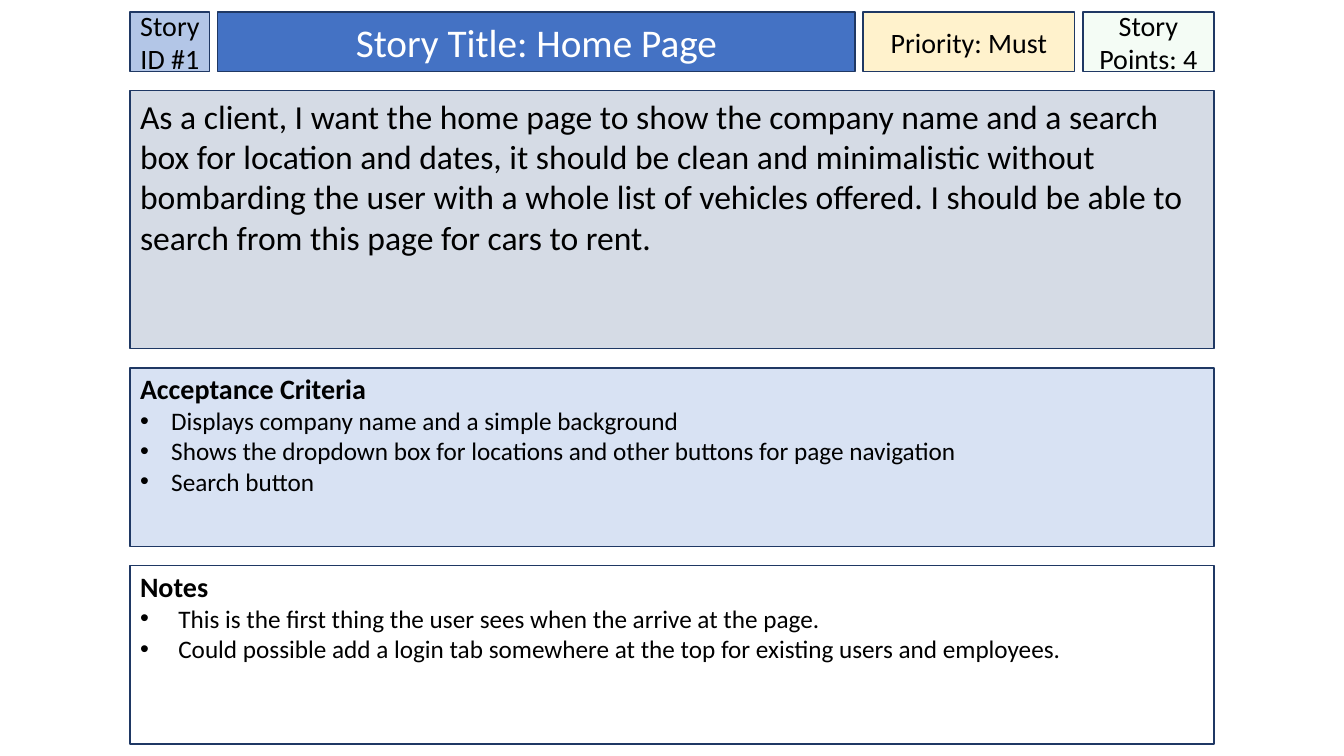
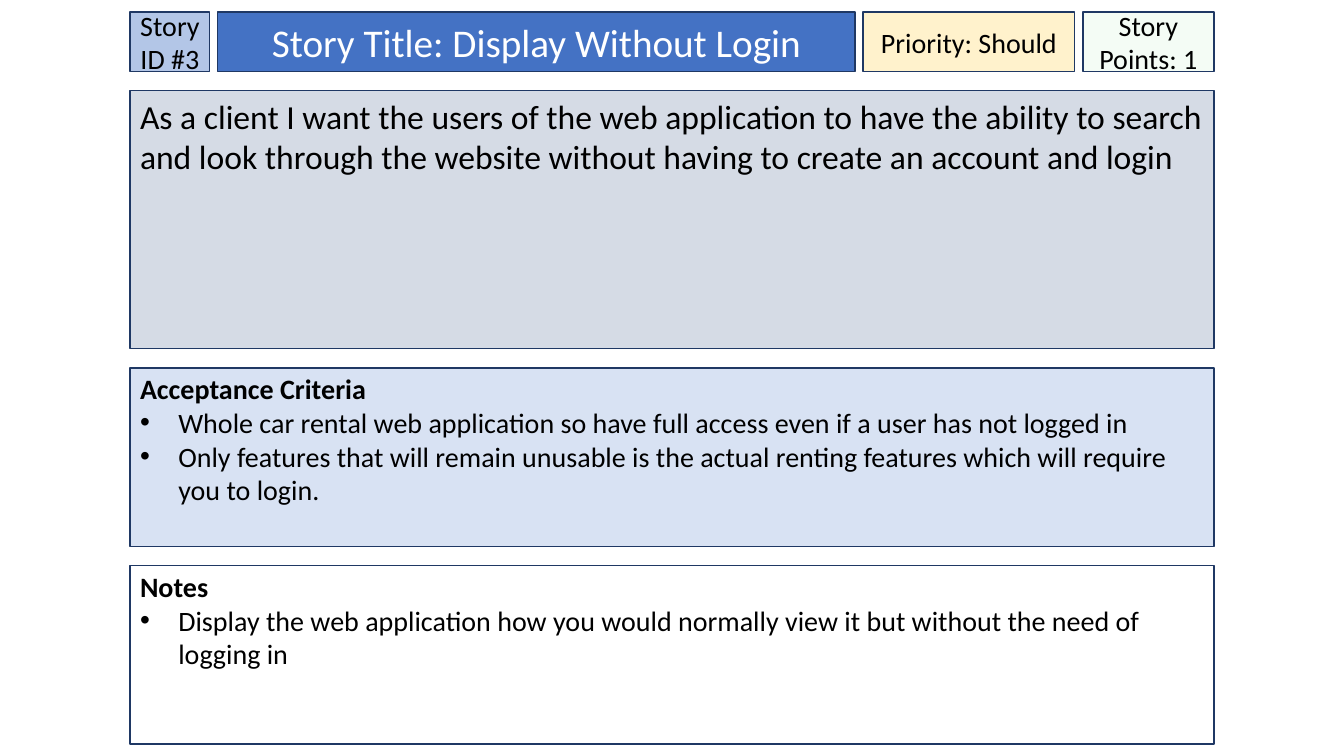
from dataclasses import dataclass
from itertools import accumulate
from typing import Any

from lxml import etree
from pptx import Presentation, util as u
from pptx.dml import color
from pptx.enum import shapes, text
from pptx.oxml import ns

HUES = {
    "edge": "1F3864", "ink": "000000", "white": "FFFFFF", "id": "B3C6E7",
    "title": "4472C4", "rank": "FFF2CC", "points": "CCF0CD",
    "story": "D5DBE5", "tests": "D8E2F3", "notes": "FFFFFF",
}
FACE = "Calibri"
WIDE, HIGH = 13.33, 7.5
LEFT, TOP = 1.29, 0.12
COLS, COL_GAP = (0.79, 6.32, 2.1, 1.3), 0.08
ROWS, ROW_GAP = (0.59, 2.56, 1.77, 1.77), 0.19


@dataclass(frozen=True)
class Box:
    hue: str
    row: int
    col: int = 0
    span: int = 1
    side: float = 0.1
    head: float = 0.05
    size: int = 20
    ink: str = "ink"
    mid: bool = False
    alpha: int = 100


@dataclass(frozen=True)
class Line:
    words: str
    size: int = 20
    bold: bool = False
    dent: float = 0


@dataclass(frozen=True)
class Card:
    id: int
    title: str
    rank: str
    points: int
    story: str
    tests: tuple[Line, ...]
    notes: tuple[Line, ...]


ID = Box("id", 0, 0, side=0, mid=True)
TITLE = Box("title", 0, 1, size=28, ink="white", mid=True)
RANK = Box("rank", 0, 2, side=0, mid=True)
POINTS = Box("points", 0, 3, side=0, mid=True, alpha=20)
STORY = Box("story", 1, span=4, size=24)
TESTS = Box("tests", 2, span=4, head=0.04)
NOTES = Box("notes", 3, span=4, head=0.04)


def points(items: tuple[str, ...], size: int = 20, dent: float = 0.38) -> tuple[Line, ...]:
    return tuple(Line(item, size, dent=dent) for item in items)


CARDS = (
    Card(
        1, "Home Page", "Must", 4,
        "As a client, I want the home page to show the company name and a search box for "
        "location and dates, it should be clean and minimalistic without bombarding the user "
        "with a whole list of vehicles offered. I should be able to search from this page for "
        "cars to rent.",
        points((
            "Displays company name and a simple background",
            "Shows the dropdown box for locations and other buttons for page navigation",
            "Search button",
        ), 18, 0.31),
        points((
            "This is the first thing the user sees when the arrive at the page.",
            "Could possible add a login tab somewhere at the top for existing users and employees.",
        ), 18),
    ),
    Card(
        3, "Display Without Login", "Should", 1,
        "As a client I want the users of the web application to have the ability to search and "
        "look through the website without having to create an account and login",
        points((
            "Whole car rental web application so have full access even if a user has not logged in",
            "Only features that will remain unusable is the actual renting features which will "
            "require you to login.",
        )),
        points((
            "Display the web application how you would normally view it but without the need of "
            "logging in",
        )),
    ),
)


def apply(item: Any, form: dict[str, Any]) -> None:
    for name, value in form.items():
        setattr(item, name, value)


def rgb(hue: str) -> color.RGBColor:
    return color.RGBColor.from_string(HUES[hue])


def starts(first: float, sizes: tuple[float, ...], gap: float) -> list[float]:
    return list(accumulate((size + gap for size in sizes), initial=first))


def place(box: Box) -> dict[str, int]:
    xs, ys = starts(LEFT, COLS, COL_GAP), starts(TOP, ROWS, ROW_GAP)
    wide = xs[box.col + box.span] - COL_GAP - xs[box.col]
    spots = {"left": xs[box.col], "top": ys[box.row], "width": wide, "height": ROWS[box.row]}
    return {name: u.Inches(round(value, 2)) for name, value in spots.items()}


def bullet(para: Any, dent: float) -> None:
    props = para._p.get_or_add_pPr()
    props.set("marL", str(u.Inches(dent)))
    props.set("indent", str(-u.Inches(dent)))
    etree.SubElement(props, ns.qn("a:buFont"), typeface="Arial")
    etree.SubElement(props, ns.qn("a:buChar"), char="\u2022")


def paint(shape: Any, box: Box) -> None:
    apply(shape, place(box))
    shape.fill.solid()
    shape.fill.fore_color.rgb = rgb(box.hue)
    if box.alpha < 100:
        tone = shape.element.spPr.find(ns.qn("a:solidFill"))[0]
        etree.SubElement(tone, ns.qn("a:alpha"), val=str(box.alpha * 1000))
    shape.line.color.rgb = rgb("edge")
    shape.line.width = u.Pt(1)


def write(shape: Any, box: Box, lines: tuple[Line, ...]) -> None:
    frame = shape.text_frame
    apply(frame, {
        "word_wrap": True, "auto_size": text.MSO_AUTO_SIZE.NONE,
        "vertical_anchor": text.MSO_ANCHOR.MIDDLE if box.mid else text.MSO_ANCHOR.TOP,
        "margin_left": u.Inches(box.side), "margin_right": u.Inches(box.side),
        "margin_top": u.Inches(box.head), "margin_bottom": u.Inches(0.05),
    })
    for num, line in enumerate(lines):
        para = frame.add_paragraph() if num else frame.paragraphs[0]
        para.alignment = text.PP_ALIGN.CENTER if box.mid else text.PP_ALIGN.LEFT
        if line.dent:
            bullet(para, line.dent)
        run = para.add_run()
        run.text = line.words
        apply(run.font, {"name": FACE, "size": u.Pt(line.size), "bold": line.bold})
        run.font.color.rgb = rgb(box.ink)


def fill(slide: Any, box: Box, *lines: Line) -> None:
    if box is TITLE:
        shape = slide.shapes.title
    else:
        shape = slide.shapes.add_shape(shapes.MSO_SHAPE.RECTANGLE, **place(box))
        shape.shadow.inherit = False
    paint(shape, box)
    write(shape, box, lines)


def draw(deck: Any, card: Card) -> None:
    slide = deck.slides.add_slide(deck.slide_layouts.get_by_name("Title Only"))
    labels = (
        (ID, f"Story ID #{card.id}"),
        (TITLE, f"Story Title: {card.title}"),
        (RANK, f"Priority: {card.rank}"),
        (POINTS, f"Story Points: {card.points}"),
        (STORY, card.story),
    )
    for box, words in labels:
        fill(slide, box, Line(words, box.size))
    for box, head, items in (
        (TESTS, "Acceptance Criteria", card.tests),
        (NOTES, "Notes", card.notes),
    ):
        fill(slide, box, Line(head, box.size, bold=True), *items)


def main() -> None:
    deck = Presentation()
    apply(deck, {"slide_width": u.Inches(WIDE), "slide_height": u.Inches(HIGH)})
    for card in CARDS:
        draw(deck, card)
    deck.save("out.pptx")


main()
